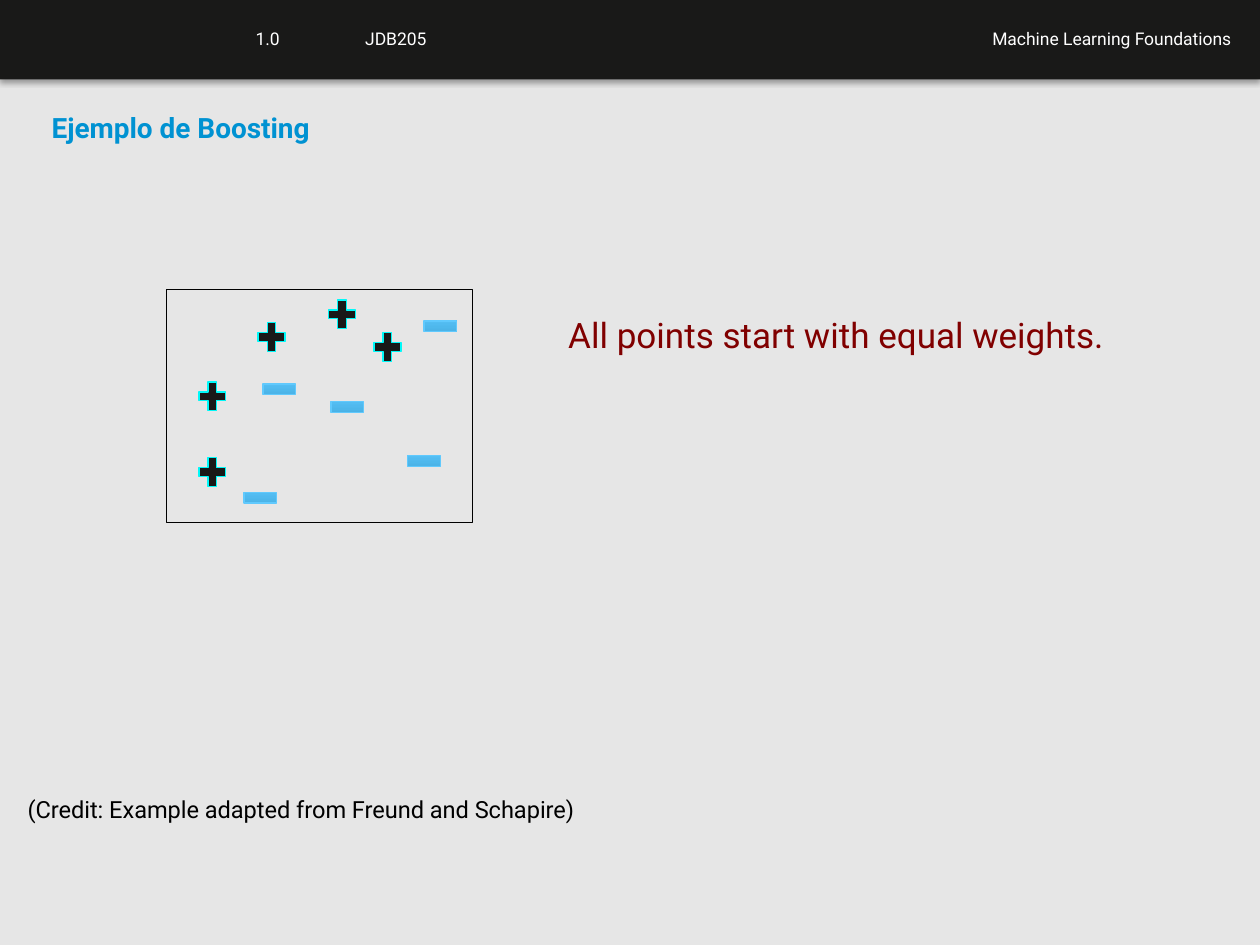
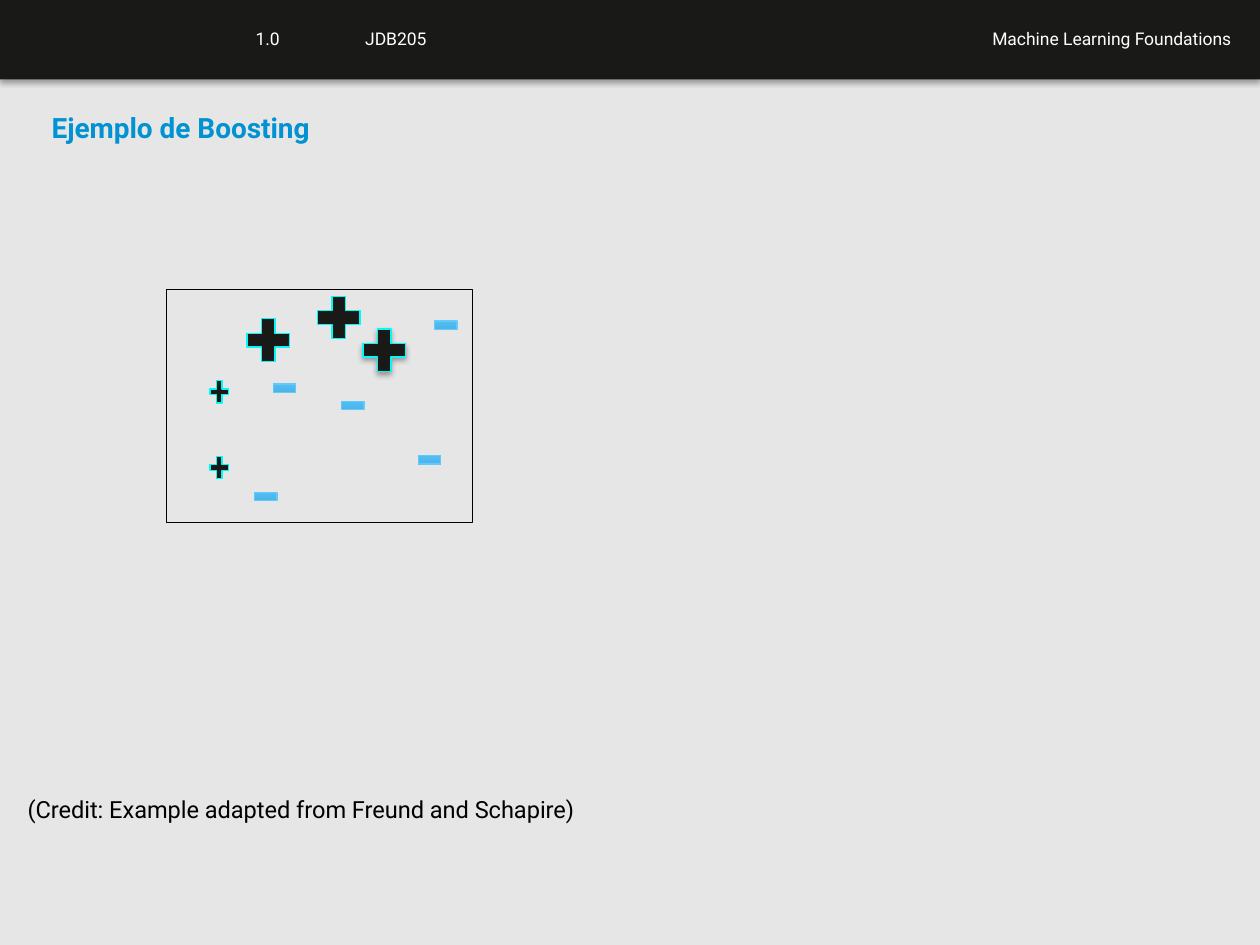
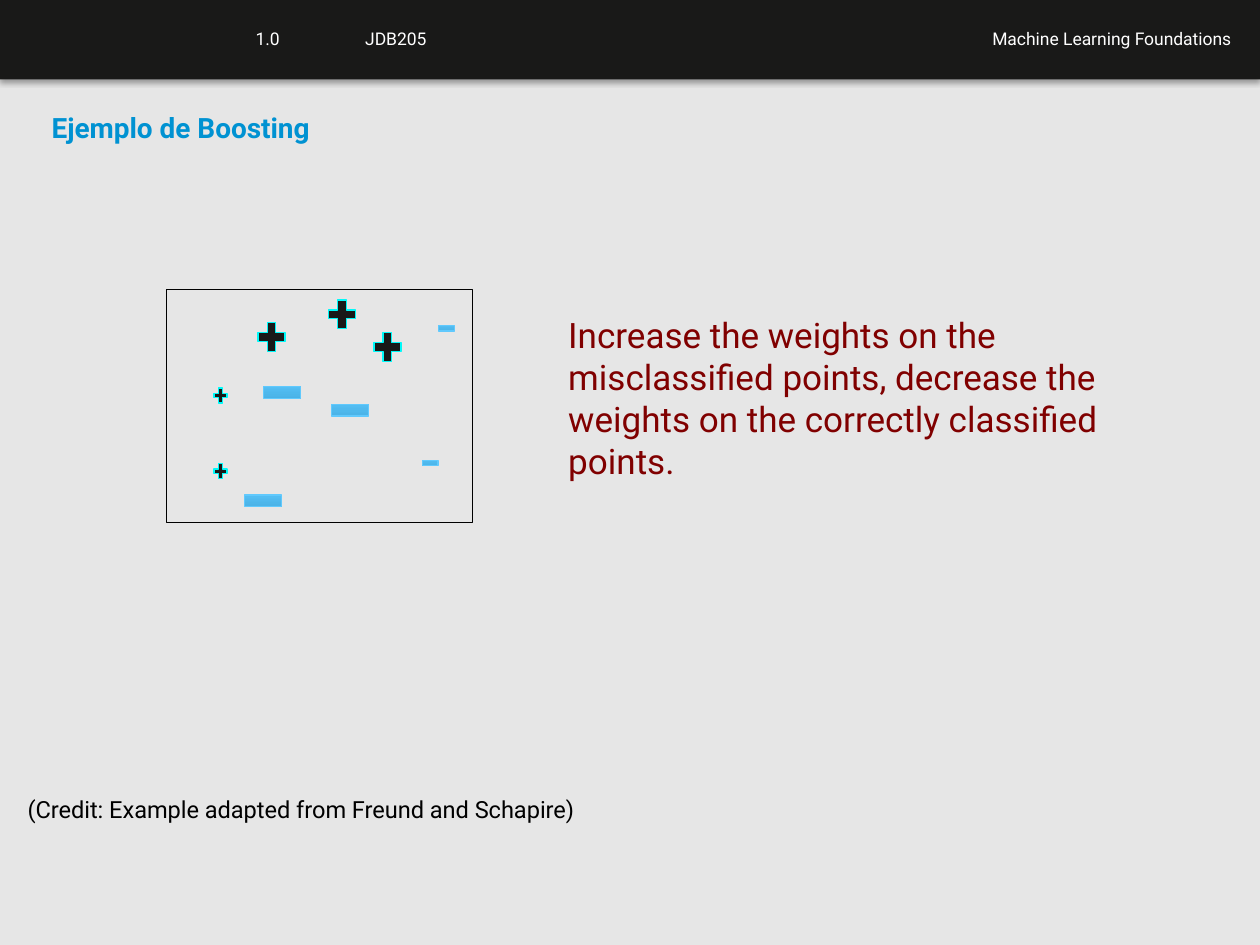
from lxml import etree
from pptx import Presentation
from pptx.dml.color import RGBColor
from pptx.enum.shapes import MSO_SHAPE
from pptx.enum.text import MSO_ANCHOR, MSO_AUTO_SIZE, PP_ALIGN
from pptx.oxml.ns import qn
from pptx.util import Inches, Pt

# Style
FONT = "Roboto"
GREY = RGBColor(0xE6, 0xE6, 0xE6)
DARK = RGBColor(0x19, 0x19, 0x18)
BLACK = RGBColor(0, 0, 0)
WHITE = RGBColor(0xFF, 0xFF, 0xFF)
BLUE = RGBColor(0x00, 0x92, 0xD2)
RED = RGBColor(0x80, 0, 0)
CYAN = RGBColor(0x00, 0xF9, 0xF9)
SKY = RGBColor(0x60, 0xC9, 0xFD)
DEEP = RGBColor(0x3B, 0x9E, 0xCF)
LIGHT = RGBColor(0x5B, 0xC8, 0xFF)

RECT = MSO_SHAPE.RECTANGLE
PLUS = MSO_SHAPE.MATH_PLUS
MINUS = MSO_SHAPE.MATH_MINUS
TOP = MSO_ANCHOR.TOP
FIXED = MSO_AUTO_SIZE.NONE
GROW = MSO_AUTO_SIZE.SHAPE_TO_FIT_TEXT
LEFT = PP_ALIGN.LEFT
RIGHT = PP_ALIGN.RIGHT
TEXT_PAGE, TITLE_PAGE = 1, 5

# Data points at their starting weight, grouped by how they are reweighted
TOP_PLUS = [(2.01, 2.52), (2.57, 2.34), (2.93, 2.6)]
SIDE_PLUS = [(1.54, 2.99), (1.54, 3.59)]
LOW_MINUS = [(1.89, 3.77), (2.04, 2.91), (2.58, 3.05)]
FAR_MINUS = [(3.19, 3.48), (3.32, 2.41)]


class Deck:
    def __init__(self):
        self.prs = Presentation()
        self.prs.slide_width = Inches(10)
        self.prs.slide_height = Inches(7.5)
        fill = self.prs.slide_master.background.fill
        fill.solid()
        fill.fore_color.rgb = GREY
        self.slide = None

    def page(self, title, note=None):
        """Start a slide with its header, title, plot frame and credit."""
        kind = TEXT_PAGE if note else TITLE_PAGE
        layout = self.prs.slide_layouts[kind]
        self.slide = self.prs.slides.add_slide(layout)
        self.head()
        self.place(self.slide.shapes.title, (0.31, 0.83, 9.45, 1.16),
                   title, 16, BLUE, True)
        if note:
            self.place(self.slide.placeholders[1], (4.41, 2.44, 5.11, 1.85),
                       note, 20, RED)
        self.shape(RECT, (1.32, 2.3, 2.43, 1.85), line=BLACK)
        self.label((0.12, 6.26, 4.59, 0.33),
                   "(Credit: Example adapted from Freund and Schapire)",
                   13.5, BLACK, wrap=False)

    def head(self):
        self.shade(self.shape(RECT, (0, 0, 10, 0.63), DARK))
        self.label((5.31, 0.17, 4.56, 0.27), "Machine Learning Foundations",
                   10, WHITE, RIGHT)
        self.label((1.93, 0.17, 0.87, 0.27), "1.0", 10, WHITE)
        self.label((2.8, 0.17, 1.65, 0.27), "JDB205", 10, WHITE)

    def words(self, frame, text, size, color, align=LEFT, bold=False):
        para = frame.paragraphs[0]
        para.alignment = align
        run = para.add_run()
        run.text = text
        font = run.font
        font.name, font.size, font.bold = FONT, Pt(size), bold
        font.color.rgb = color
        return para

    def place(self, holder, box, text, size, color, bold=False):
        """Move and fill a placeholder as plain, top-aligned text."""
        holder.left, holder.top, holder.width, holder.height = map(Inches, box)
        frame = holder.text_frame
        frame.auto_size = FIXED
        frame.vertical_anchor = TOP
        props = frame.paragraphs[0]._p.get_or_add_pPr()
        props.set("marL", "0")
        props.set("indent", "0")
        etree.SubElement(props, qn("a:buNone"))
        para = self.words(frame, text, size, color, bold=bold)
        para.space_before = Pt(0)

    def label(self, box, text, size, color, align=LEFT, wrap=True):
        frame = self.slide.shapes.add_textbox(*map(Inches, box)).text_frame
        frame.word_wrap = wrap
        frame.auto_size = GROW
        self.words(frame, text, size, color, align)

    def shape(self, kind, box, fill=None, line=None):
        item = self.slide.shapes.add_shape(kind, *map(Inches, box))
        item.shadow.inherit = False
        if fill is None:
            item.fill.background()
        else:
            item.fill.solid()
            item.fill.fore_color.rgb = fill
        if line is None:
            item.line.fill.background()
        else:
            item.line.color.rgb = line
            item.line.width = Pt(0.75)
        return item

    def shade(self, item):
        """Add a soft shadow below a shape."""
        effects = item._element.spPr.find(qn("a:effectLst"))
        shadow = etree.SubElement(effects, qn("a:outerShdw"), blurRad="40000",
                                  dist="23000", dir="5400000", rotWithShape="0")
        color = etree.SubElement(shadow, qn("a:srgbClr"), val="000000")
        etree.SubElement(color, qn("a:alpha"), val="35000")

    def plus(self, points, size, shift=(0, 0)):
        return [self.shape(PLUS, (x + shift[0], y + shift[1], *size), DARK, CYAN)
                for x, y in points]

    def minus(self, points, size, shift=(0, 0)):
        for x, y in points:
            item = self.shape(MINUS, (x + shift[0], y + shift[1], *size), line=SKY)
            item.fill.gradient()
            item.fill.gradient_angle = 90
            stops = item.fill.gradient_stops
            for stop, spot, color in zip(stops, (0, 0.8), (DEEP, LIGHT)):
                stop.position = spot
                stop.color.rgb = color


def main():
    deck = Deck()
    title = "Ejemplo de Boosting"

    # Equal weights
    deck.page(title, "All points start with equal weights.")
    deck.plus(TOP_PLUS + SIDE_PLUS, (0.29, 0.31))
    deck.minus(LOW_MINUS + FAR_MINUS, (0.35, 0.36))

    # Top pluses gain weight
    deck.page(title)
    large = deck.plus(TOP_PLUS, (0.46, 0.46), (-0.11, -0.05))
    deck.shade(large[-1])
    deck.plus(SIDE_PLUS, (0.2, 0.24), (0.1, 0))
    deck.minus(LOW_MINUS + FAR_MINUS, (0.24, 0.28), (0.1, 0.03))

    # Low minuses gain weight
    deck.page(title, "Increase the weights on the misclassified points, "
                     "decrease the weights on the correctly classified points.")
    deck.plus(TOP_PLUS, (0.29, 0.31))
    deck.plus(SIDE_PLUS, (0.14, 0.16), (0.14, 0.07))
    deck.minus(LOW_MINUS, (0.4, 0.39), (0, 0.01))
    deck.minus(FAR_MINUS, (0.17, 0.19), (0.14, 0.1))

    deck.prs.save("out.pptx")


if __name__ == "__main__":
    main()
